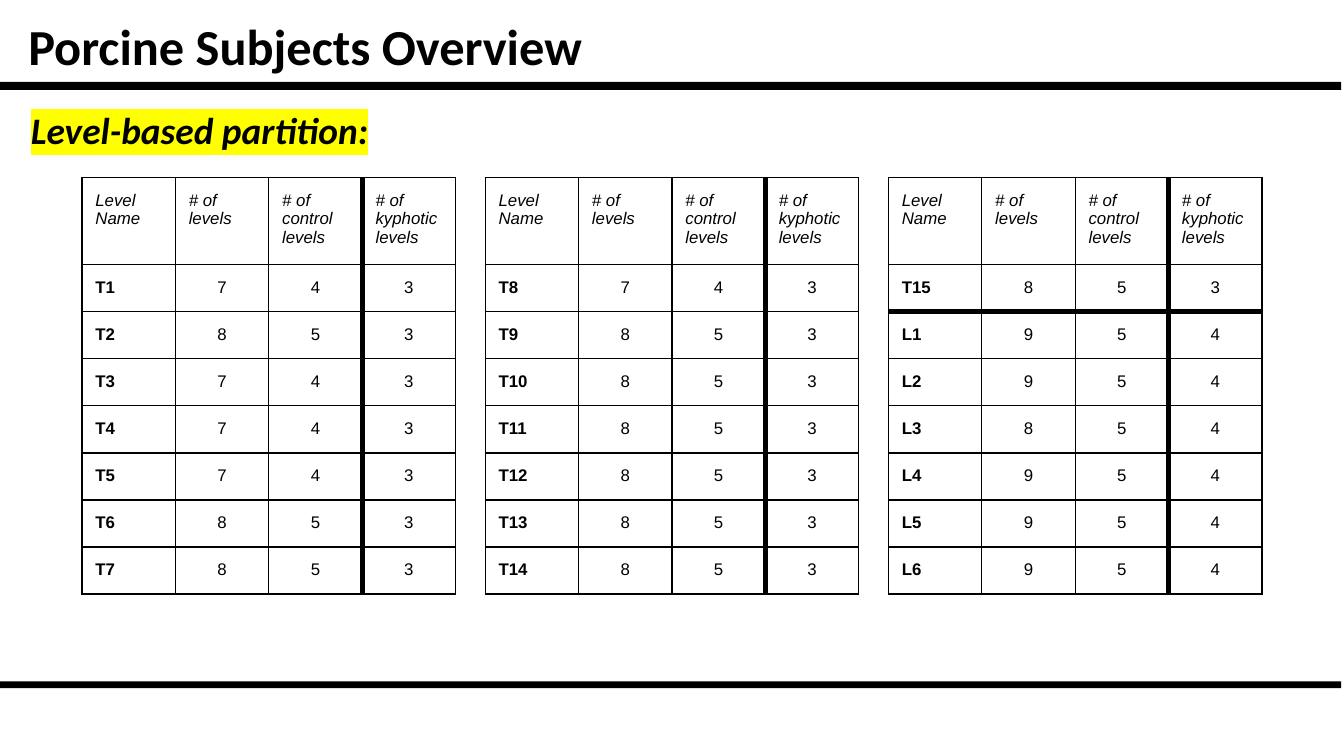
from lxml.etree import SubElement
from pptx import Presentation
from pptx.dml.color import RGBColor
from pptx.enum.shapes import MSO_SHAPE
from pptx.enum.text import MSO_ANCHOR, MSO_AUTO_SIZE, PP_ALIGN
from pptx.oxml.ns import qn
from pptx.util import Inches, Pt

BLACK = RGBColor(0, 0, 0)
YELLOW = RGBColor(0xFF, 0xFF, 0)
THIN, THICK = Pt(0.75), Pt(3)

SLIDE_WIDTH = 10
SLIDE_HEIGHT = SLIDE_WIDTH * 9 / 16

HEADERS = ["Level Name", "# of levels", "# of control levels", "# of kyphotic levels"]
LEVELS = [
    ("T1", 7, 4, 3), ("T2", 8, 5, 3), ("T3", 7, 4, 3), ("T4", 7, 4, 3),
    ("T5", 7, 4, 3), ("T6", 8, 5, 3), ("T7", 8, 5, 3),
    ("T8", 7, 4, 3), ("T9", 8, 5, 3), ("T10", 8, 5, 3), ("T11", 8, 5, 3),
    ("T12", 8, 5, 3), ("T13", 8, 5, 3), ("T14", 8, 5, 3),
    ("T15", 8, 5, 3), ("L1", 9, 5, 4), ("L2", 9, 5, 4), ("L3", 8, 5, 4),
    ("L4", 9, 5, 4), ("L5", 9, 5, 4), ("L6", 9, 5, 4),
]
LEVELS_PER_TABLE = 7
LAST_THORACIC = "T15"
FIRST_LUMBAR = "L1"

TABLE_LEFT, TABLE_TOP, TABLE_PITCH = 0.61, 1.32, 3.0
TABLE_WIDTH = 2.78
HEADER_HEIGHT, ROW_HEIGHT = 0.65, 0.35


def style_font(font, name, size, bold=False, italic=False):
    font.name = name
    font.size = Pt(size)
    font.bold = bold
    font.italic = italic
    font.color.rgb = BLACK


def set_frame(frame):
    frame.word_wrap = True
    frame.auto_size = MSO_AUTO_SIZE.NONE
    frame.vertical_anchor = MSO_ANCHOR.TOP
    frame.margin_left = frame.margin_right = Inches(0.07)
    frame.margin_top = frame.margin_bottom = Inches(0.04)


def add_bar(slide, top, height):
    bar = slide.shapes.add_shape(
        MSO_SHAPE.RECTANGLE, 0, Inches(top), Inches(9.98), Inches(height))
    bar.shadow.inherit = False
    bar.fill.solid()
    bar.fill.fore_color.rgb = BLACK
    bar.line.fill.background()


def add_title(slide, text):
    title = slide.shapes.title
    title.left, title.top = Inches(0.14), Inches(0.07)
    title.width, title.height = Inches(9.72), Inches(0.53)
    set_frame(title.text_frame)
    title.text_frame.text = text
    paragraph = title.text_frame.paragraphs[0]
    paragraph.alignment = PP_ALIGN.LEFT
    style_font(paragraph.font, "Calibri", 27, bold=True)


def highlight(run, color):
    element = SubElement(run._r.get_or_add_rPr(), qn("a:highlight"))
    SubElement(element, qn("a:srgbClr"), val=str(color))


def add_subtitle(slide, text):
    box = slide.shapes.add_textbox(
        Inches(0.16), Inches(0.71), Inches(4.46), Inches(0.41))
    set_frame(box.text_frame)
    paragraph = box.text_frame.paragraphs[0]
    paragraph.line_spacing = 1.15
    run = paragraph.add_run()
    run.text = text
    highlight(run, YELLOW)
    style_font(paragraph.font, "Calibri", 20, bold=True, italic=True)


def set_borders(cell, left, right, top, bottom):
    properties = cell._tc.get_or_add_tcPr()
    for tag, width in (("lnL", left), ("lnR", right), ("lnT", top), ("lnB", bottom)):
        line = SubElement(properties, qn(f"a:{tag}"), w=str(width))
        fill = SubElement(line, qn("a:solidFill"))
        SubElement(fill, qn("a:srgbClr"), val=str(BLACK))


def fill_cell(cell, text, column, is_header):
    cell.margin_left = cell.margin_right = Inches(0.1)
    cell.margin_top = cell.margin_bottom = Inches(0.1)
    cell.fill.background()
    cell.text = str(text)
    paragraph = cell.text_frame.paragraphs[0]
    is_name = column == 0 and not is_header
    centred = column > 0 and not is_header
    paragraph.alignment = PP_ALIGN.CENTER if centred else PP_ALIGN.LEFT
    style_font(paragraph.font, "Arial", 9, bold=is_name, italic=is_header)


def add_level_table(slide, left, levels):
    """Thick lines set off the kyphotic column and the lumbar levels."""
    rows = [HEADERS, *levels]
    height = HEADER_HEIGHT + ROW_HEIGHT * len(levels)
    table = slide.shapes.add_table(
        len(rows), len(HEADERS), Inches(left), Inches(TABLE_TOP),
        Inches(TABLE_WIDTH), Inches(height)).table
    table.first_row = table.horz_banding = False
    for row_index, values in enumerate(rows):
        is_header = row_index == 0
        table.rows[row_index].height = Inches(HEADER_HEIGHT if is_header else ROW_HEIGHT)
        top = THICK if values[0] == FIRST_LUMBAR else THIN
        bottom = THICK if values[0] == LAST_THORACIC else THIN
        for column, value in enumerate(values):
            cell = table.cell(row_index, column)
            set_borders(cell, THICK if column == 3 else THIN,
                        THICK if column == 2 else THIN, top, bottom)
            fill_cell(cell, value, column, is_header)


def main():
    presentation = Presentation()
    presentation.slide_width = Inches(SLIDE_WIDTH)
    presentation.slide_height = Inches(SLIDE_HEIGHT)
    slide = presentation.slides.add_slide(presentation.slide_layouts[5])
    add_bar(slide, 0.61, 0.06)
    add_title(slide, "Porcine Subjects Overview")
    add_bar(slide, 5.07, 0.05)
    add_subtitle(slide, "Level-based partition:")
    for index, start in enumerate(range(0, len(LEVELS), LEVELS_PER_TABLE)):
        add_level_table(slide, TABLE_LEFT + index * TABLE_PITCH,
                        LEVELS[start:start + LEVELS_PER_TABLE])
    presentation.save("out.pptx")


if __name__ == "__main__":
    main()
